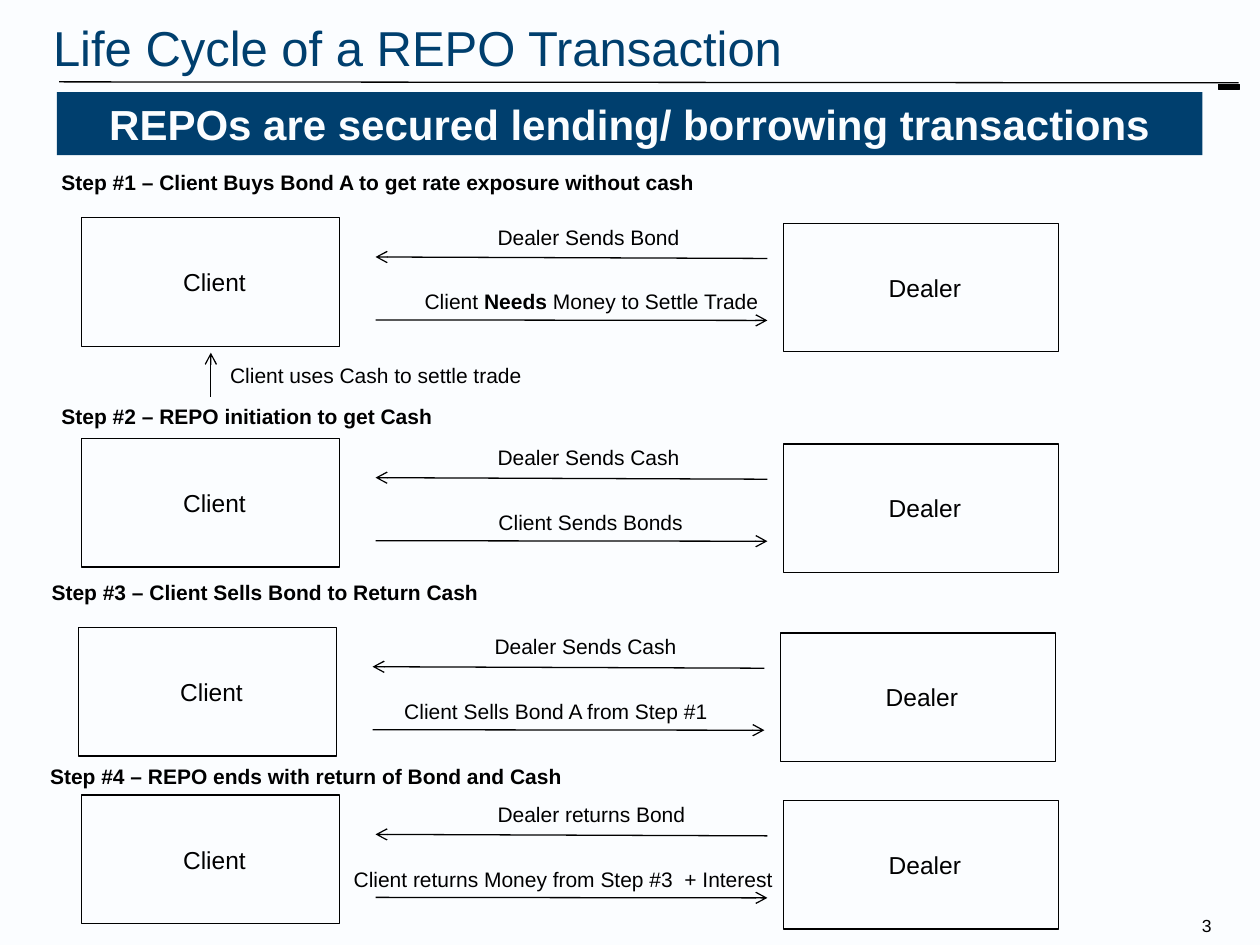
from lxml.etree import SubElement
from pptx import Presentation
from pptx.dml.color import RGBColor
from pptx.enum.shapes import MSO_CONNECTOR as Link, MSO_SHAPE as Form
from pptx.enum.text import MSO_ANCHOR as Anchor, PP_ALIGN as Align
from pptx.oxml.ns import qn
from pptx.util import Cm, Pt

INK, NAVY, PAPER = "000000", "003F6E", "FBFDFF"
SLACK = 0.2  # spare label width, so that no line breaks

TITLE = "Life Cycle of a REPO Transaction"
BANNER = "REPOs are secured lending/ borrowing transactions"
SIDE = "Client uses Cash to settle trade"
PAGE = "3"

# Each step: heading (text, left, top, width), left shift and top of its row,
# dealer label (text, width), client label (text, left, width).
# Asterisks enclose bold words.
STEPS = [
    (("Step #1 – Client Buys Bond A to get rate exposure without cash", 0.99, 3.28, 13.31),
     0, 4.39, ("Dealer Sends Bond", 4.17),
     ("Client *Needs* Money to Settle Trade", 8.31, 7.26)),
    (("Step #2 – REPO initiation to get Cash", 0.99, 8, 7.98),
     0, 8.84, ("Dealer Sends Cash", 4.17),
     ("Client Sends Bonds", 9.8, 4.45)),
    (("Step #3 – Client Sells Bond to Return Cash", 0.79, 11.56, 9.12),
     -0.06, 12.65, ("Dealer Sends Cash", 4.17),
     ("Client Sells Bond A from Step #1", 7.9, 7.04)),
    (("Step #4 – REPO ends with return of Bond and Cash", 0.76, 15.27, 10.95),
     0, 16.03, ("Dealer returns Bond", 4.29),
     ("Client returns Money from Step #3  + Interest", 6.88, 8.97)),
]


def rgb(code):
    return RGBColor.from_string(code)


def write(shape, text, size, color=INK, bold=False, **frame):
    """Fill a shape with one paragraph; frame holds text frame settings."""
    box = shape.text_frame
    style = {"margin_left": Cm(0.25), "margin_right": Cm(0.25),
             "margin_top": Cm(0.13), "margin_bottom": Cm(0.13),
             "vertical_anchor": Anchor.TOP, "word_wrap": True, **frame}
    for key, value in style.items():
        setattr(box, key, value)
    for i, part in enumerate(text.split("*")):
        run = box.paragraphs[0].add_run()
        run.text = part
        look = {"name": "Arial", "size": Pt(size), "bold": bold or i % 2 == 1}
        for key, value in look.items():
            setattr(run.font, key, value)
        run.font.color.rgb = rgb(color)
    return box.paragraphs[0]


def label(slide, text, x, y, w, h=0.76, size=12, **style):
    box = slide.shapes.add_textbox(Cm(x), Cm(y), Cm(w + SLACK), Cm(h))
    para = write(box, text, size, **style)
    para.alignment = Align.LEFT


def block(slide, x, y, w, h, fill, line=None):
    shape = slide.shapes.add_shape(Form.RECTANGLE, Cm(x), Cm(y), Cm(w), Cm(h))
    shape.shadow.inherit = False
    shape.fill.solid()
    shape.fill.fore_color.rgb = rgb(fill)
    if line:
        shape.line.color.rgb = rgb(line)
        shape.line.width = Pt(0.75)
    else:
        shape.line.fill.background()
    return shape


def party(slide, name, x, y, w):
    box = block(slide, x, y, w, 2.59, PAPER, INK)
    para = write(box, name, 14, margin_left=Cm(0.4), vertical_anchor=Anchor.MIDDLE)
    para.alignment = Align.CENTER


def rule(slide, x1, y1, x2, y2, head=True):
    """Draw a thin line, with an open arrowhead at its end if wanted."""
    line = slide.shapes.add_connector(Link.STRAIGHT, Cm(x1), Cm(y1), Cm(x2), Cm(y2))
    line.line.color.rgb = rgb(INK)
    line.line.width = Pt(0.75)
    props = line._element.spPr
    if head:
        SubElement(props.find(qn("a:ln")), qn("a:tailEnd"), type="arrow")
    SubElement(props, qn("a:effectLst"))


def step(slide, head, dx, y, dealer, client):
    near, far = 7.57 + dx, 15.47 + dx
    party(slide, "Client", 1.65 + dx, y, 5.2)
    party(slide, "Dealer", 15.8 + dx, y + 0.11, 5.54)
    rule(slide, far, y + 0.82, near, y + 0.79)
    rule(slide, near, y + 2.06, far, y + 2.07)
    text, w = dealer
    label(slide, text, 9.78 + dx, y, w)
    text, x, w = client
    label(slide, text, x, y + 1.3, w)
    label(slide, *head, bold=True)


def main():
    deck = Presentation()
    deck.slide_width, deck.slide_height = Cm(25.4), Cm(19.05)
    slide = deck.slides.add_slide(deck.slide_layouts[6])
    slide.background.fill.solid()
    slide.background.fill.fore_color.rgb = rgb(PAPER)

    label(slide, PAGE, 23.95, 18.29, 0.8, 0.71, 10, margin_left=Cm(0.28),
          margin_right=Cm(0.28), margin_top=Cm(0.15), margin_bottom=Cm(0.15))
    rule(slide, 1.19, 1.65, 24.97, 1.67, head=False)
    block(slide, 24.56, 1.7, 0.43, 0.1, INK, INK)
    label(slide, TITLE, 0.82, 0.23, 15.27, 1.45, 28, color=NAVY)
    banner = block(slide, 1.15, 1.86, 23.09, 1.27, NAVY)
    write(banner, BANNER, 24, PAPER, True).alignment = Align.CENTER

    for parts in STEPS:
        step(slide, *parts)
    rule(slide, 4.25, 8, 4.25, 7.11)
    label(slide, SIDE, 4.39, 7.17, 6.38)
    deck.save("out.pptx")


if __name__ == "__main__":
    main()
